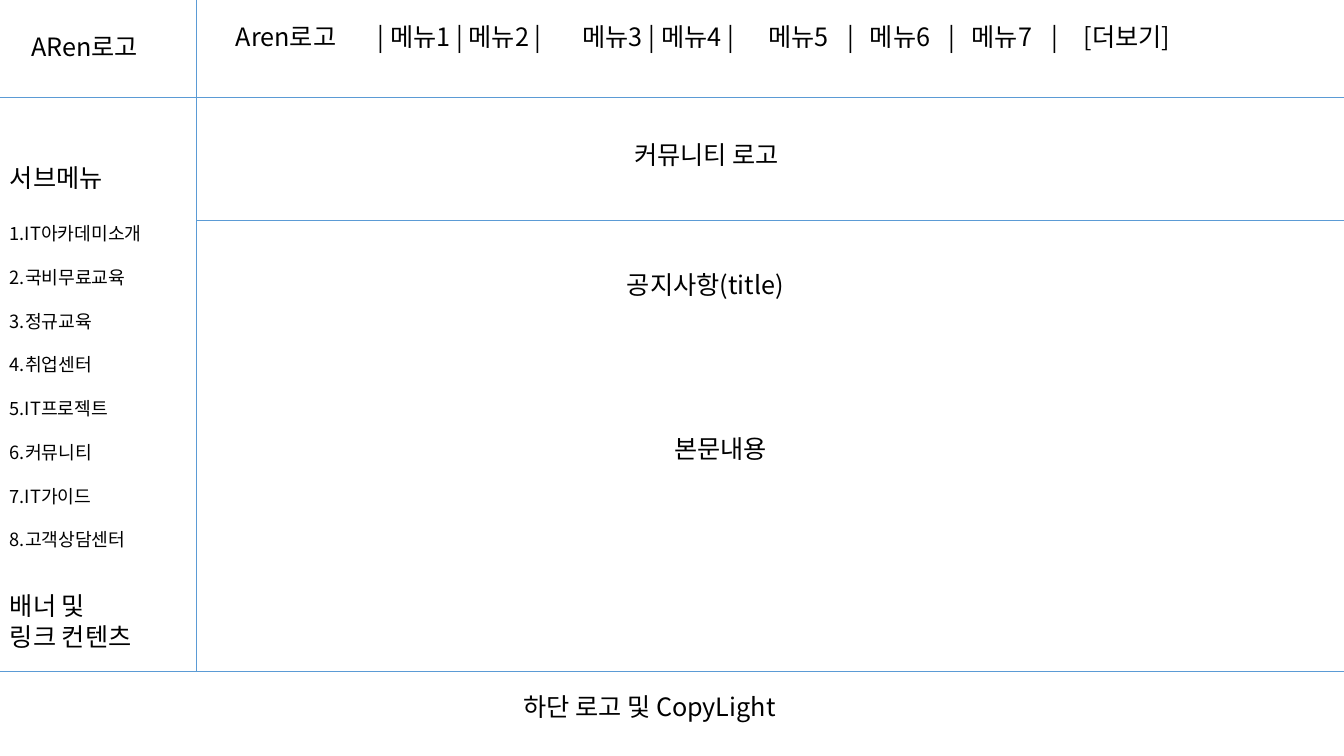
from dataclasses import dataclass
from lxml.etree import SubElement
from pptx import Presentation
from pptx.dml.color import RGBColor as Rgb
from pptx.enum.shapes import MSO_CONNECTOR as Conn
from pptx.enum.text import MSO_ANCHOR as Anchor
from pptx.oxml.ns import qn
from pptx.util import Inches, Pt


@dataclass(frozen=True)
class Theme:
    font: str = "Noto Sans CJK KR"
    ink: str = "000000"
    rule: str = "5B9BD5"
    big: int = 18
    small: int = 13
    line: float = 0.5
    lead: float = 1.2  # line height per point of type


THEME = Theme()

# Content
LOGO = "ARen로고"
MENU = ("Aren로고\t| 메뉴1 | 메뉴2 |\t메뉴3 | 메뉴4 |\t메뉴5\t|\t메뉴6\t|"
        "\t메뉴7\t|\t[더보기]")
STOPS = [1.41, 3.44, 5.28, 6.07, 6.29, 7.07, 7.3, 8.09, 8.41]
SUB = "서브메뉴"
ITEMS = ["IT아카데미소개", "국비무료교육", "정규교육", "취업센터",
         "IT프로젝트", "커뮤니티", "IT가이드", "고객상담센터"]
BANNER = ["배너 및", "링크 컨텐츠"]

# Page grid: columns and rows in inches
WIDE, HIGH = 13.33, 7.5
SIDE = 1.95
HEAD, BAND, FOOT = 0.97, 2.19, 6.66
ROW = 0.4
MAIN = 2.24

# Text, left, top, width, height, indent of the text
LABELS = [
    (LOGO, 0.21, 0.26, 1.63, ROW, 0),
    ("커뮤니티 로고", 4.22, 1.33, 9.55, ROW, 1.97),
    ("공지사항(title)", 2.64, 2.62, 9.22, ROW, 3.48),
    ("본문내용", 3.62, 3.64, 7.35, 1.01, 2.97),
    ("하단 로고 및 CopyLight", MAIN, 6.81, 9.33, ROW, 2.85),
]
RULES = [
    (SIDE, HEAD, WIDE, HEAD),
    (SIDE, BAND, WIDE, BAND),
    (SIDE, HEAD, 0, HEAD),
    (0, FOOT, WIDE, FOOT),
    (SIDE, 0, SIDE, FOOT),
]

deck = Presentation()
deck.slide_width, deck.slide_height = Inches(WIDE), Inches(HIGH)
slide = deck.slides.add_slide(deck.slide_layouts[6])


def write(lines, box, sizes=None, gaps=None, indent=0, stops=(),
          anchor=Anchor.TOP):
    """Add a text box with one paragraph per line."""
    frame = slide.shapes.add_textbox(*map(Inches, box)).text_frame
    frame.word_wrap = True
    frame.vertical_anchor = anchor
    for i, line in enumerate(lines):
        para = frame.paragraphs[0] if i == 0 else frame.add_paragraph()
        if gaps and gaps[i]:
            para.space_before = Pt(gaps[i])
        props = para._p.get_or_add_pPr()
        if indent:
            props.set("marL", str(Inches(indent)))
            props.set("indent", "0")
        if stops:
            tabs = SubElement(props, qn("a:tabLst"))
            for stop in stops:
                SubElement(tabs, qn("a:tab"), pos=str(Inches(stop)), algn="l")
        run = para.add_run()
        run.text = line
        font = run.font
        font.name = THEME.font
        font.size = Pt(sizes[i] if sizes else THEME.big)
        font.color.rgb = Rgb.from_string(THEME.ink)
        SubElement(font._element, qn("a:ea"), typeface=THEME.font)


def rule(*ends):
    """Add a thin straight line."""
    line = slide.shapes.add_connector(Conn.STRAIGHT, *map(Inches, ends))
    line.line.color.rgb = Rgb.from_string(THEME.rule)
    line.line.width = Pt(THEME.line)
    SubElement(line._element.spPr, qn("a:effectLst"))


# Frame lines
for ends in RULES:
    rule(*ends)

# Header menu
write([MENU], (MAIN, 0.16, 10.56, ROW), stops=STOPS)

# Area labels; text in a tall box sits on its floor
for text, left, top, width, high, indent in LABELS:
    write([text], (left, top, width, high), indent=indent,
          anchor=Anchor.BOTTOM if high > ROW else Anchor.TOP)

# Side menu: each item follows a gap one line high
count = len(ITEMS)
write([SUB] + [f"{n}.{item}" for n, item in enumerate(ITEMS, 1)],
      (0, 1.56, 1.84, 3.99),
      sizes=[THEME.big] + [THEME.small] * count,
      gaps=[0, THEME.big * THEME.lead]
      + [THEME.small * THEME.lead] * (count - 1))

# Banner area
write(BANNER, (0, 5.81, SIDE, 0.71))

deck.save("out.pptx")
